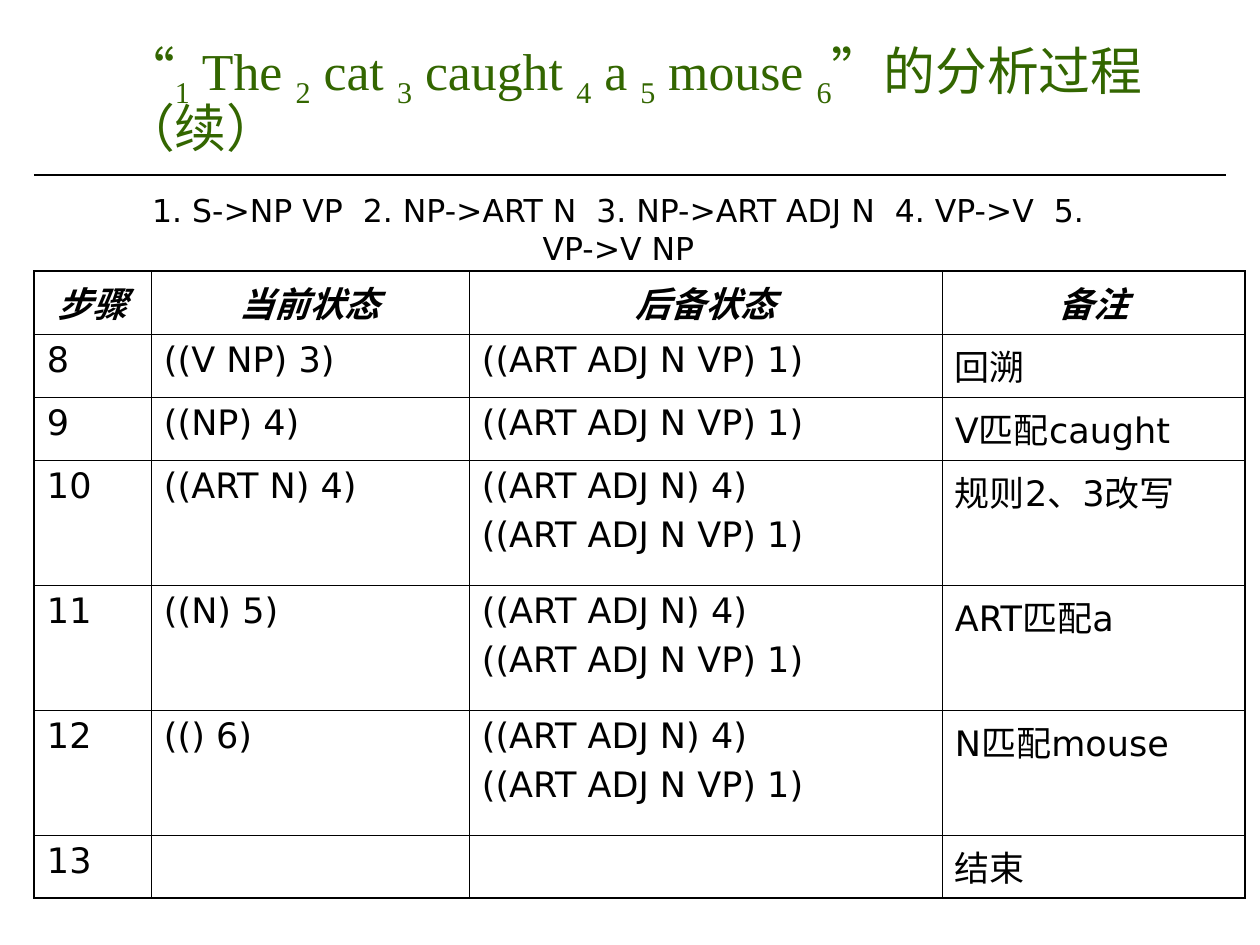
from lxml.etree import SubElement
from pptx import Presentation
from pptx.dml.color import RGBColor
from pptx.enum.shapes import MSO_CONNECTOR
from pptx.enum.text import MSO_ANCHOR, MSO_AUTO_SIZE, PP_ALIGN
from pptx.oxml.ns import qn
from pptx.util import Emu, Pt

PX_PER_INCH = 126
BLACK, GREEN = "000000", "336600"
BODY_FONT, TITLE_FONT = "DejaVu Sans", "Times New Roman"
THIN, THICK = 0.45, 1.08

GRAMMAR = "1. S->NP VP  2. NP->ART N  3. NP->ART ADJ N  4. VP->V  5. VP->V NP"
WORDS = [" The ", " cat ", " caught ", " a ", " mouse "]
COLUMN_WIDTHS = [117, 318, 473, 303]
ROW_HEIGHTS = [63, 63, 63, 125, 125, 125, 63]
LONG_RULE = "((ART ADJ N VP) 1)"
BOTH_RULES = "((ART ADJ N) 4)\n" + LONG_RULE
STEPS = [
    ["步骤", "当前状态", "后备状态", "备注"],
    ["8", "((V NP) 3)", LONG_RULE, "回溯"],
    ["9", "((NP) 4)", LONG_RULE, "V匹配caught"],
    ["10", "((ART N) 4)", BOTH_RULES, "规则2、3改写"],
    ["11", "((N) 5)", BOTH_RULES, "ART匹配a"],
    ["12", "(() 6)", BOTH_RULES, "N匹配mouse"],
    ["13", "", "", "结束"],
]


def px(length):
    return Emu(round(length * 914400 / PX_PER_INCH))


def color(value):
    return RGBColor.from_string(value)


def set_all(target, values):
    for name, value in values.items():
        setattr(target, name, value)


def place(shape, left, top, width, height):
    set_all(shape, {"left": px(left), "top": px(top), "width": px(width), "height": px(height)})


def add_span(para, text, font_color=BLACK, baseline=0, **font):
    span = para.add_run()
    span.text = text
    set_all(span.font, font)
    span.font.color.rgb = color(font_color)
    if baseline:
        span.font._element.set("baseline", str(baseline * 1000))


def set_frame(frame, anchor):
    set_all(frame, {
        "word_wrap": True, "auto_size": MSO_AUTO_SIZE.NONE, "vertical_anchor": anchor,
        "margin_left": px(13), "margin_right": px(13),
        "margin_top": px(6), "margin_bottom": px(6),
    })


def set_borders(cell, widths):
    """Draw the left, right, top and bottom cell edges in the given point widths."""
    properties = cell._tc.get_or_add_tcPr()
    for index, (side, width) in enumerate(widths.items()):
        edge = properties.makeelement(qn(f"a:ln{side}"), {"w": str(Pt(width))})
        fill = SubElement(edge, qn("a:solidFill"))
        SubElement(fill, qn("a:srgbClr"), val=BLACK)
        properties.insert(index, edge)


def add_title(slide):
    title = slide.shapes.title
    place(title, 37, 34, 1198, 130)
    set_frame(title.text_frame, MSO_ANCHOR.MIDDLE)
    para = title.text_frame.paragraphs[0]
    set_all(para, {"alignment": PP_ALIGN.LEFT, "line_spacing": 0.9})
    para._p.get_or_add_pPr().set("marL", str(px(73)))
    font = {"font_color": GREEN, "name": TITLE_FONT, "size": Pt(29.6)}
    add_span(para, "“", **font)
    for number, word in enumerate(WORDS, 1):
        add_span(para, str(number), baseline=-25, **font)
        add_span(para, word, **font)
    add_span(para, str(len(WORDS) + 1), baseline=-25, **font)
    add_span(para, "”的分析过程（续）", **font)


def add_rule(slide):
    rule = slide.shapes.add_connector(MSO_CONNECTOR.STRAIGHT, px(34), px(175), px(1226), px(175))
    rule.line.width = Pt(1.5)
    rule.line.color.rgb = color(BLACK)
    SubElement(rule._element.spPr, qn("a:effectLst"))


def add_grammar(slide):
    box = slide.shapes.add_textbox(px(118), px(185), px(1001), px(50))
    set_frame(box.text_frame, MSO_ANCHOR.TOP)
    para = box.text_frame.paragraphs[0]
    para.alignment = PP_ALIGN.CENTER
    add_span(para, GRAMMAR, name=BODY_FONT, size=Pt(18))


def fill_cell(cell, text, is_header):
    cell.fill.background()
    set_all(cell, {
        "margin_left": px(13), "margin_right": px(13),
        "margin_top": px(6), "margin_bottom": px(6),
    })
    for index, line in enumerate(text.split("\n") if text else []):
        frame = cell.text_frame
        para = frame.add_paragraph() if index else frame.paragraphs[0]
        set_all(para, {
            "alignment": PP_ALIGN.CENTER if is_header else PP_ALIGN.LEFT,
            "space_before": Pt(5),
        })
        add_span(para, line, name=BODY_FONT, size=Pt(20), bold=is_header, italic=is_header)


def add_steps(slide):
    last_row, last_column = len(ROW_HEIGHTS) - 1, len(COLUMN_WIDTHS) - 1
    table = slide.shapes.add_table(
        last_row + 1, last_column + 1, px(34), px(271),
        px(sum(COLUMN_WIDTHS)), px(sum(ROW_HEIGHTS))).table
    set_all(table, {"first_row": False, "horz_banding": False})
    for column, width in zip(table.columns, COLUMN_WIDTHS):
        column.width = px(width)
    for row, height in zip(table.rows, ROW_HEIGHTS):
        row.height = px(height)
    for r, texts in enumerate(STEPS):
        for c, text in enumerate(texts):
            cell = table.cell(r, c)
            fill_cell(cell, text, is_header=r == 0)
            outer = {"L": c == 0, "R": c == last_column, "T": r == 0, "B": r == last_row}
            set_borders(cell, {side: THICK if edge else THIN for side, edge in outer.items()})


def main():
    deck = Presentation()
    set_all(deck, {"slide_width": px(1260), "slide_height": px(945)})
    slide = deck.slides.add_slide(deck.slide_layouts[5])
    add_rule(slide)
    add_steps(slide)
    add_title(slide)
    add_grammar(slide)
    deck.save("out.pptx")


if __name__ == "__main__":
    main()
